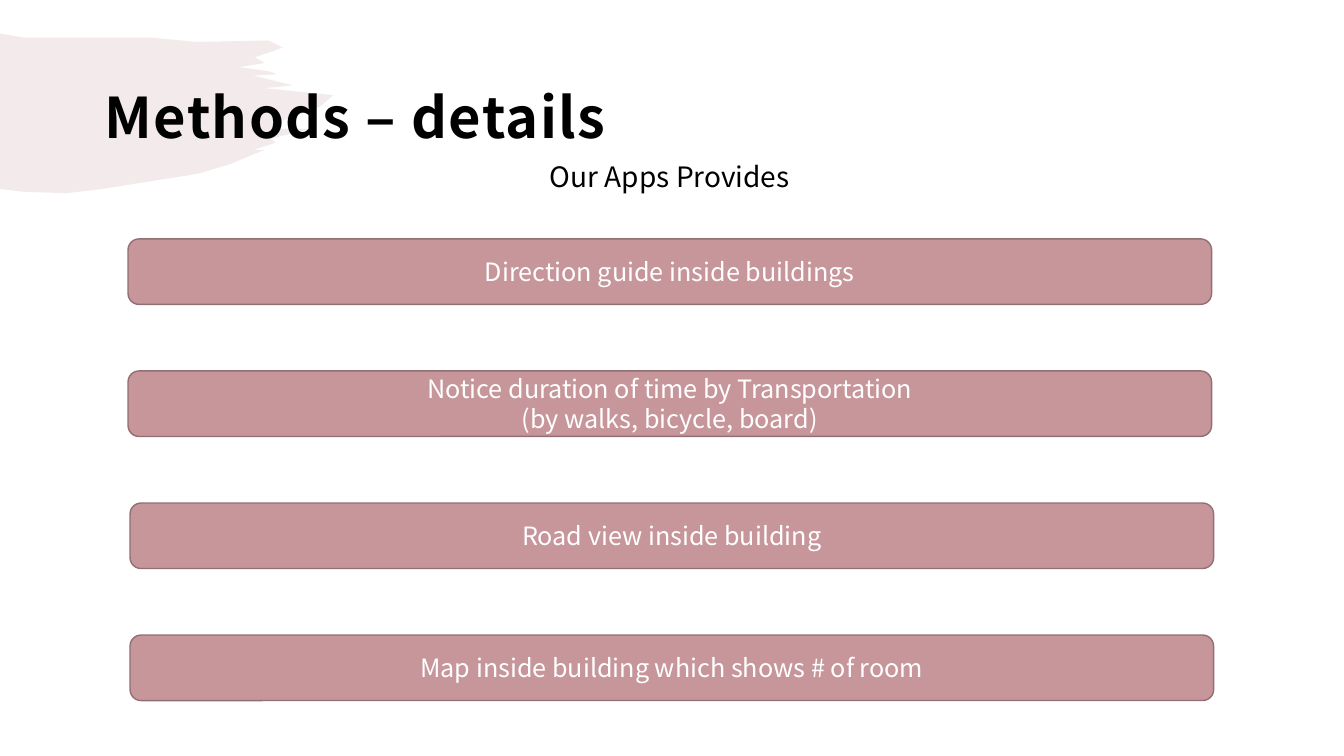
import pptx
import pptx.dml.color
import pptx.enum.shapes
import pptx.enum.text
import pptx.oxml
import pptx.oxml.ns
import pptx.util
from pptx.util import Pt

RGBColor = pptx.dml.color.RGBColor
PP_ALIGN = pptx.enum.text.PP_ALIGN
MSO_ANCHOR = pptx.enum.text.MSO_ANCHOR

ROSE = RGBColor(0xC6, 0x96, 0x9B)
ROSE_DARK = RGBColor(0x92, 0x6F, 0x73)
BLACK = RGBColor(0, 0, 0)
WHITE = RGBColor(0xFF, 0xFF, 0xFF)
FONT = "Noto Sans CJK KR"

# Outline of the brush stroke, in points, clockwise from the top left.
BRUSH = [
    (0, 24), (18, 27), (73, 27), (109, 27), (140, 30), (192, 29), (202, 34),
    (182, 41), (189, 45), (171, 48), (192, 51), (198, 53), (181, 54), (197, 58),
    (209, 61), (189, 63), (238, 68), (229, 76), (216, 81), (202, 86),
    (197, 92), (222, 92), (194, 99), (197, 102), (181, 107), (189, 107),
    (165, 117), (142, 124), (73, 135), (47, 138), (17, 137), (0, 135),
]

FEATURES = [
    (91.44, ["Direction guide inside buildings"]),
    (91.44, ["Notice duration of time by Transportation", "(by walks, bicycle, board)"]),
    (92.88, ["Road view inside building"]),
    (92.88, ["Map inside building which shows # of room"]),
]
FEATURE_TOP, FEATURE_STEP = 170.64, 94.32


def add_brush(slide):
    points = [(Pt(x), Pt(y)) for x, y in BRUSH]
    fb = slide.shapes.build_freeform(*points[0])
    fb.add_line_segments(points[1:], close=True)
    sp = fb.convert_to_shape()
    sp.shadow.inherit = False
    sp.fill.solid()
    sp.fill.fore_color.rgb = ROSE
    color = sp._element.spPr.find(".//" + pptx.oxml.ns.qn("a:srgbClr"))
    alpha = pptx.oxml.parse_xml("<a:alpha %s val='20000'/>" % pptx.oxml.ns.nsdecls("a"))
    color.append(alpha)
    sp.line.fill.background()


def write(tf, lines, size, color, align, bold=False):
    """Fill the first paragraph, with a line break between lines, and return it."""
    tf.word_wrap = True
    p = tf.paragraphs[0]
    p.alignment = align
    for i, line in enumerate(lines):
        if i:
            p.add_line_break()
        r = p.add_run()
        r.text = line
        r.font.name = FONT
        r.font.size = Pt(size)
        r.font.bold = bold
        r.font.color.rgb = color
    return p


def add_title(slide, text):
    tf = slide.shapes.add_textbox(Pt(66.24), Pt(28.8), Pt(828), Pt(104.4)).text_frame
    tf.vertical_anchor = MSO_ANCHOR.MIDDLE
    tf.margin_left = tf.margin_top = tf.margin_right = Pt(8.64)
    tf.margin_bottom = Pt(7.2)
    p = write(tf, [text], 40, BLACK, PP_ALIGN.LEFT, bold=True)
    p.line_spacing = 1.05
    p.runs[0].font._element.set("spc", "100")


def add_subtitle(slide, text):
    tf = slide.shapes.add_textbox(Pt(341.28), Pt(110.16), Pt(274.32), Pt(31.68)).text_frame
    write(tf, [text], 20, BLACK, PP_ALIGN.CENTER)
    tf.auto_size = pptx.enum.text.MSO_AUTO_SIZE.SHAPE_TO_FIT_TEXT


def add_feature(slide, left, top, lines):
    sp = slide.shapes.add_shape(
        pptx.enum.shapes.MSO_SHAPE.FLOWCHART_ALTERNATE_PROCESS,
        Pt(left), Pt(top), Pt(774), Pt(46.8))
    sp.shadow.inherit = False
    sp.fill.solid()
    sp.fill.fore_color.rgb = ROSE
    sp.line.color.rgb = ROSE_DARK
    sp.line.width = Pt(1)
    sp.text_frame.vertical_anchor = MSO_ANCHOR.MIDDLE
    write(sp.text_frame, lines, 18, WHITE, PP_ALIGN.CENTER)


def main():
    prs = pptx.Presentation()
    prs.slide_width, prs.slide_height = Pt(960), Pt(540)
    slide = prs.slides.add_slide(prs.slide_layouts[6])
    add_brush(slide)
    add_title(slide, "Methods – details")
    add_subtitle(slide, "Our Apps Provides")
    for i, (left, lines) in enumerate(FEATURES):
        add_feature(slide, left, FEATURE_TOP + i * FEATURE_STEP, lines)
    prs.save("out.pptx")


if __name__ == "__main__":
    main()
